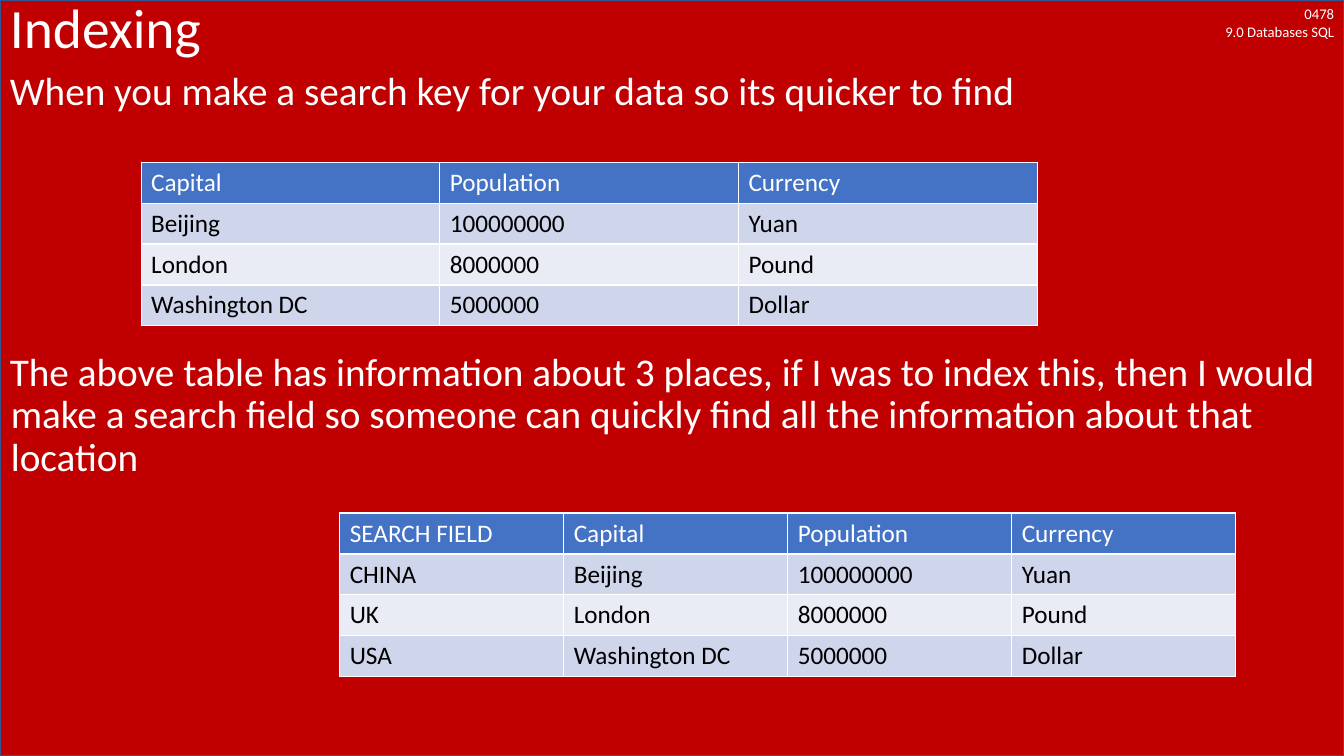
import pptx
import pptx.dml.color
import pptx.enum.shapes
import pptx.enum.text
import pptx.oxml.ns
import pptx.util
from lxml import etree

COLORS = {
    "background": "C00000", "frame": "325491", "white": "FFFFFF", "black": "000000",
    "header": "4472C4", "odd row": "CFD5EA", "even row": "E9EBF5",
}
FONT = "Calibri"
WIDTH, HEIGHT = pptx.util.Inches(13.33), pptx.util.Inches(7.5)
ALIGN = pptx.enum.text.PP_ALIGN
ANCHOR = pptx.enum.text.MSO_ANCHOR

PLACES = [
    ["Capital", "Population", "Currency"],
    ["Beijing", "100000000", "Yuan"],
    ["London", "8000000", "Pound"],
    ["Washington DC", "5000000", "Dollar"],
]
SEARCH_FIELD = ["SEARCH FIELD", "CHINA", "UK", "USA"]
INDEXED_PLACES = [[key] + row for key, row in zip(SEARCH_FIELD, PLACES)]


def color(name):
    return pptx.dml.color.RGBColor.from_string(COLORS[name])


def place(left, top, width, height):
    """Turn percentages of the slide into a box."""
    return (int(WIDTH * left / 100), int(HEIGHT * top / 100),
            int(WIDTH * width / 100), int(HEIGHT * height / 100))


def format_paragraph(paragraph, size, color_name):
    for run in paragraph.runs:
        run.font.name = FONT
        run.font.size = pptx.util.Pt(size)
        run.font.color.rgb = color(color_name)


def add_background(slide, box):
    shape = slide.shapes.add_shape(pptx.enum.shapes.MSO_SHAPE.RECTANGLE, *box)
    shape.shadow.inherit = False
    shape.fill.solid()
    shape.fill.fore_color.rgb = color("background")
    shape.line.color.rgb = color("frame")
    shape.line.width = pptx.util.Pt(1)


def add_text(slide, box, text, size, align=ALIGN.LEFT, anchor=ANCHOR.TOP,
             spacing=0.9, hanging=0):
    text_frame = slide.shapes.add_textbox(*box).text_frame
    text_frame.word_wrap = True
    text_frame.vertical_anchor = anchor
    text_frame.text = text
    for paragraph in text_frame.paragraphs:
        paragraph.alignment = align
        paragraph.line_spacing = spacing
        if hanging:
            indent = pptx.util.Inches(hanging)
            properties = paragraph._p.get_or_add_pPr()
            properties.set("marL", str(indent))
            properties.set("indent", str(-indent))
        format_paragraph(paragraph, size, "white")


def add_borders(cell):
    properties = cell._tc.get_or_add_tcPr()
    for index, side in enumerate(("lnL", "lnR", "lnT", "lnB")):
        line = etree.Element(pptx.oxml.ns.qn("a:" + side), w=str(pptx.util.Pt(1)))
        fill = etree.SubElement(line, pptx.oxml.ns.qn("a:solidFill"))
        etree.SubElement(fill, pptx.oxml.ns.qn("a:srgbClr"), val=COLORS["white"])
        properties.insert(index, line)


def add_data_table(slide, box, rows):
    left, top, width, height = box
    table = slide.shapes.add_table(len(rows), len(rows[0]), *box).table
    for column in table.columns:
        column.width = width // len(rows[0])
    for row_index, values in enumerate(rows):
        table.rows[row_index].height = height // len(rows)
        if row_index == 0:
            fill_name, text_name = "header", "white"
        else:
            fill_name = "odd row" if row_index % 2 else "even row"
            text_name = "black"
        for column_index, value in enumerate(values):
            cell = table.cell(row_index, column_index)
            cell.text = value
            cell.fill.solid()
            cell.fill.fore_color.rgb = color(fill_name)
            add_borders(cell)
            paragraph = cell.text_frame.paragraphs[0]
            format_paragraph(paragraph, 18, text_name)
            paragraph.font.bold = False
            paragraph.runs[0].font.bold = False


def build_indexing_slide(presentation):
    slide = presentation.slides.add_slide(presentation.slide_layouts[6])
    add_background(slide, place(0, 0, 100, 100))

    # Course label and title
    add_text(slide, place(81.4, 0, 18.6, 6), "0478\n9.0 Databases SQL", 10.5,
             align=ALIGN.RIGHT, spacing=1.0)
    add_text(slide, place(0, 0, 100, 8.13), "Indexing", 39.6, anchor=ANCHOR.MIDDLE)

    # Definition with the plain table
    add_text(slide, place(0, 8.8, 100, 8),
             "When you make a search key for your data so its quicker to find",
             28, hanging=0.01)
    add_data_table(slide, place(10.5, 21.47, 66.67, 21.63), PLACES)

    # Explanation with the indexed table
    add_text(slide, place(0, 46, 100, 19),
             "The above table has information about 3 places, if I was to index this, "
             "then I would make a search field so someone can quickly find all the "
             "information about that location", 28, hanging=0.01)
    add_data_table(slide, place(25.28, 67.87, 66.67, 21.63), INDEXED_PLACES)


def main():
    presentation = pptx.Presentation()
    presentation.slide_width, presentation.slide_height = WIDTH, HEIGHT
    build_indexing_slide(presentation)
    presentation.save("out.pptx")


if __name__ == "__main__":
    main()
